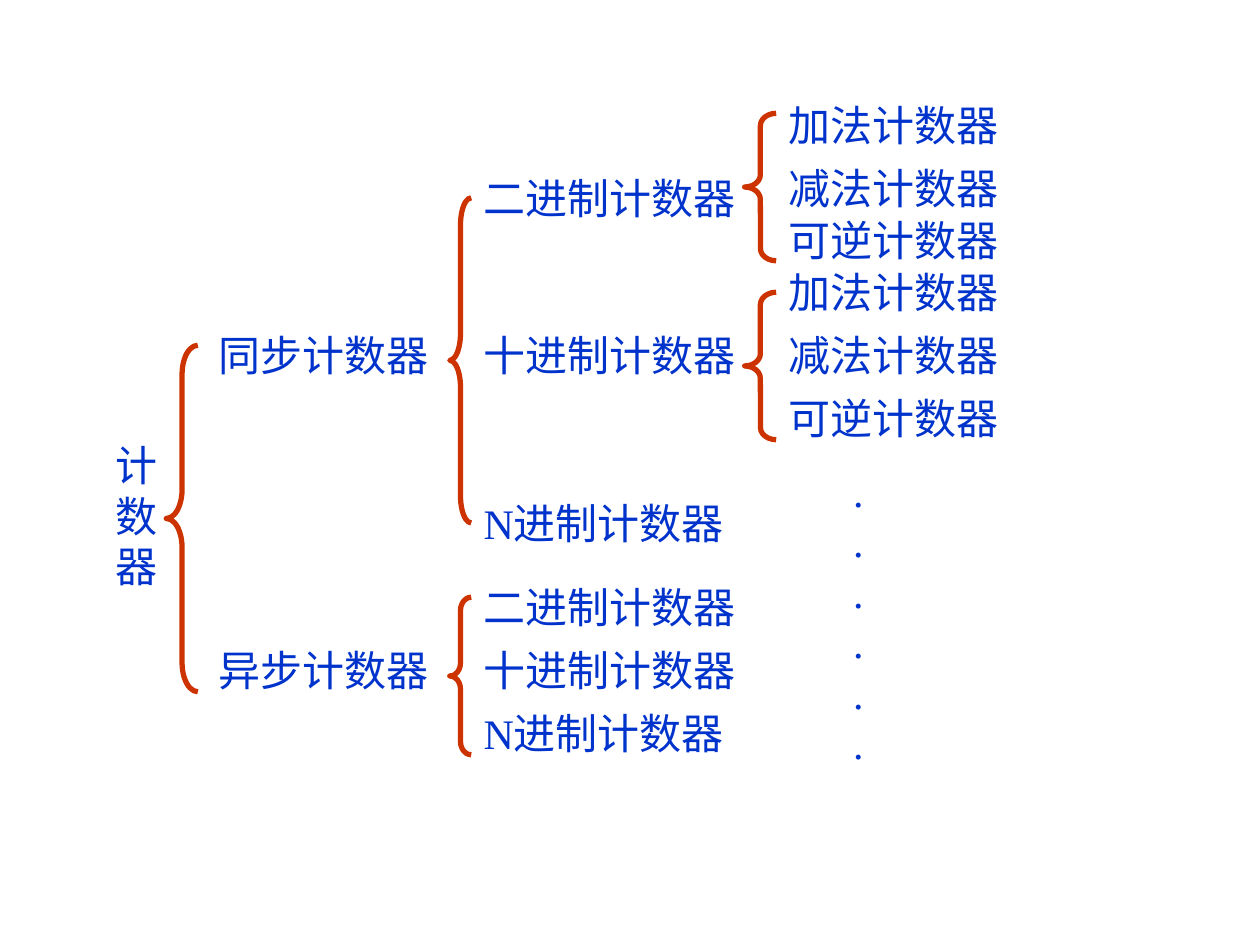
"""Build a slide with a bracketed tree that classifies counters."""
from pptx import Presentation
from pptx.dml.color import RGBColor
from pptx.enum.shapes import MSO_SHAPE as SHAPE
from pptx.enum.text import MSO_AUTO_SIZE as AUTO, PP_ALIGN as ALIGN
from pptx.util import Inches, Pt

BLUE = RGBColor(0x00, 0x33, 0xCC)
RED = RGBColor(0xCC, 0x33, 0x00)
FONT = "Times New Roman"
ROW_H = 0.5

BASES = ["二进制计数器", "十进制计数器", "N进制计数器"]
DIRECTIONS = ["加法计数器", "减法计数器", "可逆计数器"]
COLUMNS = [
    (1.57, 2, ALIGN.CENTER, ["同步计数器", "异步计数器"], [2.57, 5.07]),
    (3.74, 2.25, ALIGN.LEFT, BASES * 2, [1.32, 2.57, 3.9, 4.57, 5.07, 5.57]),
    (6.16, 2, ALIGN.LEFT, DIRECTIONS * 2, [0.74, 1.24, 1.65, 2.07, 2.57, 3.07]),
]
STACKS = [
    ("计数器", 0.82, 3.44, 0.58, 1.3),
    ("······", 6.66, 3.74, 0.33, 2.5),
]
BRACES = [
    (1.32, 2.74, 0.25, 2.75),
    (3.57, 1.57, 0.17, 2.58),
    (3.57, 4.74, 0.17, 1.25),
    (5.91, 0.9, 0.25, 1.17),
    (5.91, 2.32, 0.25, 1.17),
]


def add_label(s, text, x, y, w, h, align=ALIGN.LEFT):
    tf = s.shapes.add_textbox(Inches(x), Inches(y), Inches(w), Inches(h)).text_frame
    tf.word_wrap = True
    tf.auto_size = AUTO.SHAPE_TO_FIT_TEXT
    p = tf.paragraphs[0]
    p.text = text
    p.alignment = align
    p.font.name = FONT
    p.font.size = Pt(24)
    p.font.color.rgb = BLUE


def add_brace(s, x, y, w, h):
    sp = s.shapes.add_shape(SHAPE.LEFT_BRACE, Inches(x), Inches(y), Inches(w), Inches(h))
    sp.adjustments[0] = h / 12 / w
    sp.shadow.inherit = False
    sp.fill.background()
    sp.line.color.rgb = RED
    sp.line.width = Pt(3)


def main():
    prs = Presentation()
    prs.slide_width, prs.slide_height = Inches(10), Inches(7.5)
    s = prs.slides.add_slide(prs.slide_layouts[6])
    for x, w, align, labels, tops in COLUMNS:
        for text, y in zip(labels, tops):
            add_label(s, text, x, y, w, ROW_H, align)
    for stack in STACKS:
        add_label(s, *stack)
    for brace in BRACES:
        add_brace(s, *brace)
    prs.save("out.pptx")


if __name__ == "__main__":
    main()
